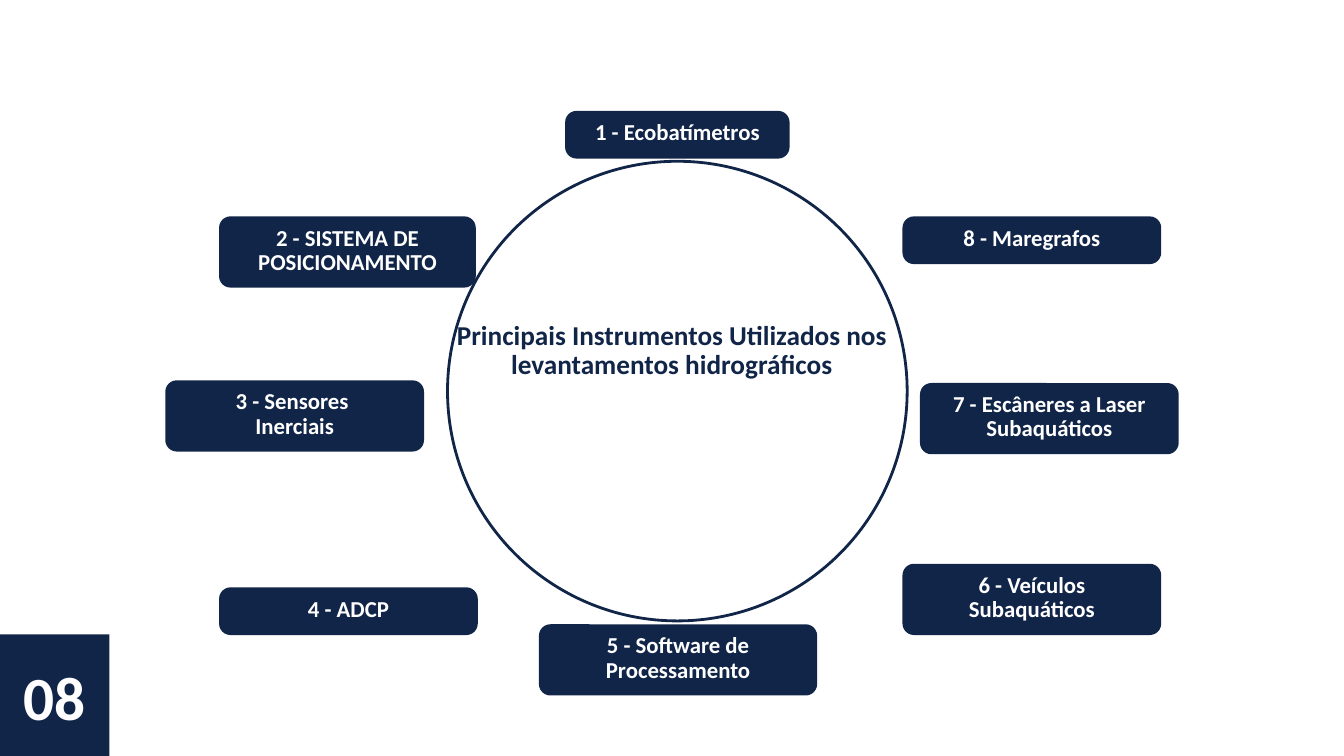
from typing import NamedTuple

from pptx import Presentation
from pptx.dml.color import RGBColor
from pptx.enum.shapes import MSO_SHAPE
from pptx.enum.text import MSO_ANCHOR, PP_ALIGN
from pptx.util import Inches, Pt

COLORS = {"navy": "112548", "white": "FFFFFF"}
FONT = "Calibri"
RADIUS = 0.17
ONE, TWO = 0.71, 1.06  # label heights for one and two lines of text


class Label(NamedTuple):
    text: str
    left: float
    top: float
    height: float
    width: float = 3.85


LABELS = [
    Label("1 - Ecobatímetros", 8.41, 1.65, ONE, 3.34),
    Label("2 - SISTEMA DE POSICIONAMENTO", 3.26, 3.22, TWO, 3.82),
    Label("3 - Sensores \nInerciais", 2.46, 5.66, TWO),
    Label("4 - ADCP", 3.26, 8.74, ONE),
    Label("6 - Veículos Subaquáticos", 13.43, 8.39, TWO),
    Label("5 - Software de Processamento", 8.02, 9.29, TWO, 4.14),
    Label("7 - Escâneres a Laser Subaquáticos", 13.69, 5.7, TWO),
    Label("8 - Maregrafos", 13.43, 3.22, ONE),
]


def color(name: str) -> RGBColor:
    return RGBColor.from_string(COLORS[name])


def add_shape(slide, kind, left: float, top: float, width: float, height: float):
    """Add a navy shape without line or shadow."""
    shape = slide.shapes.add_shape(
        kind, Inches(left), Inches(top), Inches(width), Inches(height))
    shape.shadow.inherit = False
    shape.fill.solid()
    shape.fill.fore_color.rgb = color("navy")
    shape.line.fill.background()
    return shape


def set_text(shape, text: str, size: float, pitch: float, tint: str,
             side: float = 0, top: float = 0) -> None:
    """Write centred bold text from the top down, with line pitch in points."""
    frame = shape.text_frame
    frame.text = text
    frame.word_wrap = True
    frame.vertical_anchor = MSO_ANCHOR.TOP
    frame.margin_left = frame.margin_right = Inches(side)
    frame.margin_top, frame.margin_bottom = Inches(top), 0
    for para in frame.paragraphs:
        para.alignment = PP_ALIGN.CENTER
        para.line_spacing = Pt(pitch)
        for run in para.runs:
            run.font.name = FONT
            run.font.size = Pt(size)
            run.font.bold = True
            run.font.color.rgb = color(tint)


def add_label(slide, label: Label) -> None:
    box = add_shape(slide, MSO_SHAPE.ROUNDED_RECTANGLE,
                    label.left, label.top, label.width, label.height)
    box.adjustments[0] = RADIUS / label.height
    set_text(box, label.text, 24.4, 25.9, "white", side=0.14, top=0.1)


def add_title(slide) -> None:
    ring = add_shape(slide, MSO_SHAPE.OVAL, 6.66, 2.4, 6.84, 6.84)
    ring.fill.background()
    ring.line.color.rgb = color("navy")
    ring.line.width = Pt(3)
    title = slide.shapes.add_textbox(
        Inches(6.79), Inches(4.8), Inches(6.41), Inches(1.66))
    set_text(title, "Principais Instrumentos Utilizados nos levantamentos hidrográficos",
             29.2, 30.9, "navy")


def add_number(slide) -> None:
    badge = add_shape(slide, MSO_SHAPE.RECTANGLE, 0, 9.44, 1.63, 1.81)
    set_text(badge, "08", 65.7, 92, "white", top=0.19)


def main() -> None:
    deck = Presentation()
    deck.slide_width, deck.slide_height = Inches(20), Inches(11.25)
    slide = deck.slides.add_slide(deck.slide_layouts[6])
    add_title(slide)
    for label in LABELS:
        add_label(slide, label)
    add_number(slide)
    deck.save("out.pptx")


if __name__ == "__main__":
    main()
